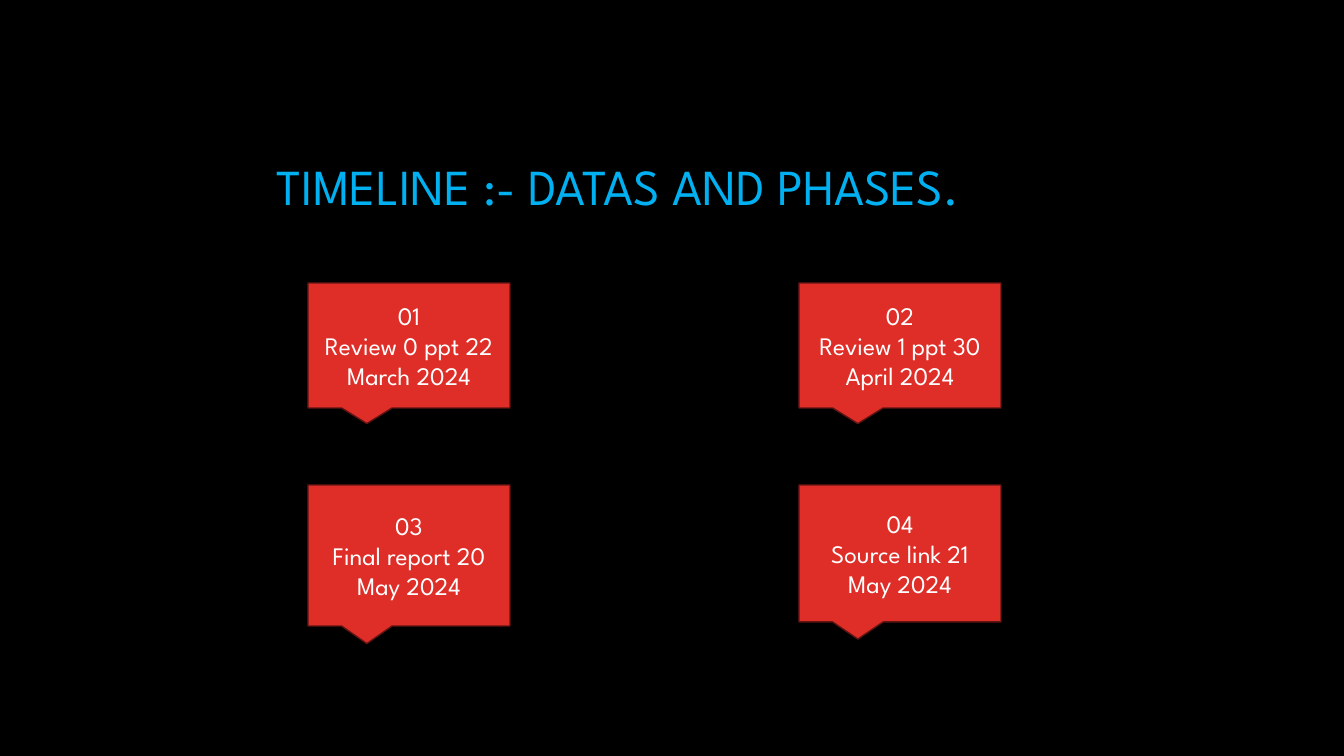
from dataclasses import dataclass

from pptx import Presentation
from pptx.dml.color import RGBColor
from pptx.enum.shapes import MSO_SHAPE as Preset
from pptx.enum.text import MSO_ANCHOR as Anchor, MSO_AUTO_SIZE as AutoSize, PP_ALIGN as Align
from pptx.slide import Slide
from pptx.text.text import TextFrame
from pptx.util import Emu, Pt

EMU_PER_PX = 12192000 / 1344
COLORS = {
    "background": "000000",
    "title": "00B0F0",
    "callout": "DF2E28",
    "outline": "621412",
    "callout_text": "FFFFFF",
}
FONT = "League Spartan"
COLUMNS = (308, 799)
ROWS = (283, 485)
CALLOUT_WIDTH = 202


@dataclass(frozen=True)
class Phase:
    event: str
    height: int


PHASES = (
    Phase("Review 0 ppt 22 March 2024", 125),
    Phase("Review 1 ppt 30 April 2024", 125),
    Phase("Final report 20 May 2024", 141),
    Phase("Source link 21 May 2024", 137),
)


def px(length: int) -> Emu:
    return Emu(round(length * EMU_PER_PX))


def color(role: str) -> RGBColor:
    return RGBColor.from_string(COLORS[role])


def write(frame: TextFrame, lines: list[str], size: int, role: str, align: Align) -> None:
    font_format = {"name": FONT, "size": Pt(size)}
    frame.text = "\n".join(lines)
    frame.word_wrap = True
    for paragraph in frame.paragraphs:
        paragraph.alignment = align
        font = paragraph.runs[0].font
        for attribute, value in font_format.items():
            setattr(font, attribute, value)
        font.color.rgb = color(role)


def add_title(slide: Slide, wording: str) -> None:
    title = slide.shapes.add_textbox(px(267), px(150), px(810), px(72))
    write(title.text_frame, [wording], 36, "title", Align.LEFT)
    title.text_frame.auto_size = AutoSize.SHAPE_TO_FIT_TEXT


def add_phase(slide: Slide, index: int, phase: Phase) -> None:
    row, column = divmod(index, len(COLUMNS))
    callout = slide.shapes.add_shape(
        Preset.RECTANGULAR_CALLOUT,
        px(COLUMNS[column]), px(ROWS[row]), px(CALLOUT_WIDTH), px(phase.height),
    )
    callout.shadow.inherit = False
    callout.fill.solid()
    callout.fill.fore_color.rgb = color("callout")
    callout.line.color.rgb = color("outline")
    callout.line.width = Pt(1)
    callout.text_frame.vertical_anchor = Anchor.MIDDLE
    write(callout.text_frame, [f"{index + 1:02}", phase.event], 18, "callout_text", Align.CENTER)


def main() -> None:
    deck = Presentation()
    deck.slide_width, deck.slide_height = px(1344), px(756)
    slide = deck.slides.add_slide(deck.slide_layouts[6])
    slide.background.fill.solid()
    slide.background.fill.fore_color.rgb = color("background")
    add_title(slide, "TIMELINE :- DATAS AND PHASES.")
    for index, phase in enumerate(PHASES):
        add_phase(slide, index, phase)
    deck.save("out.pptx")


if __name__ == "__main__":
    main()
